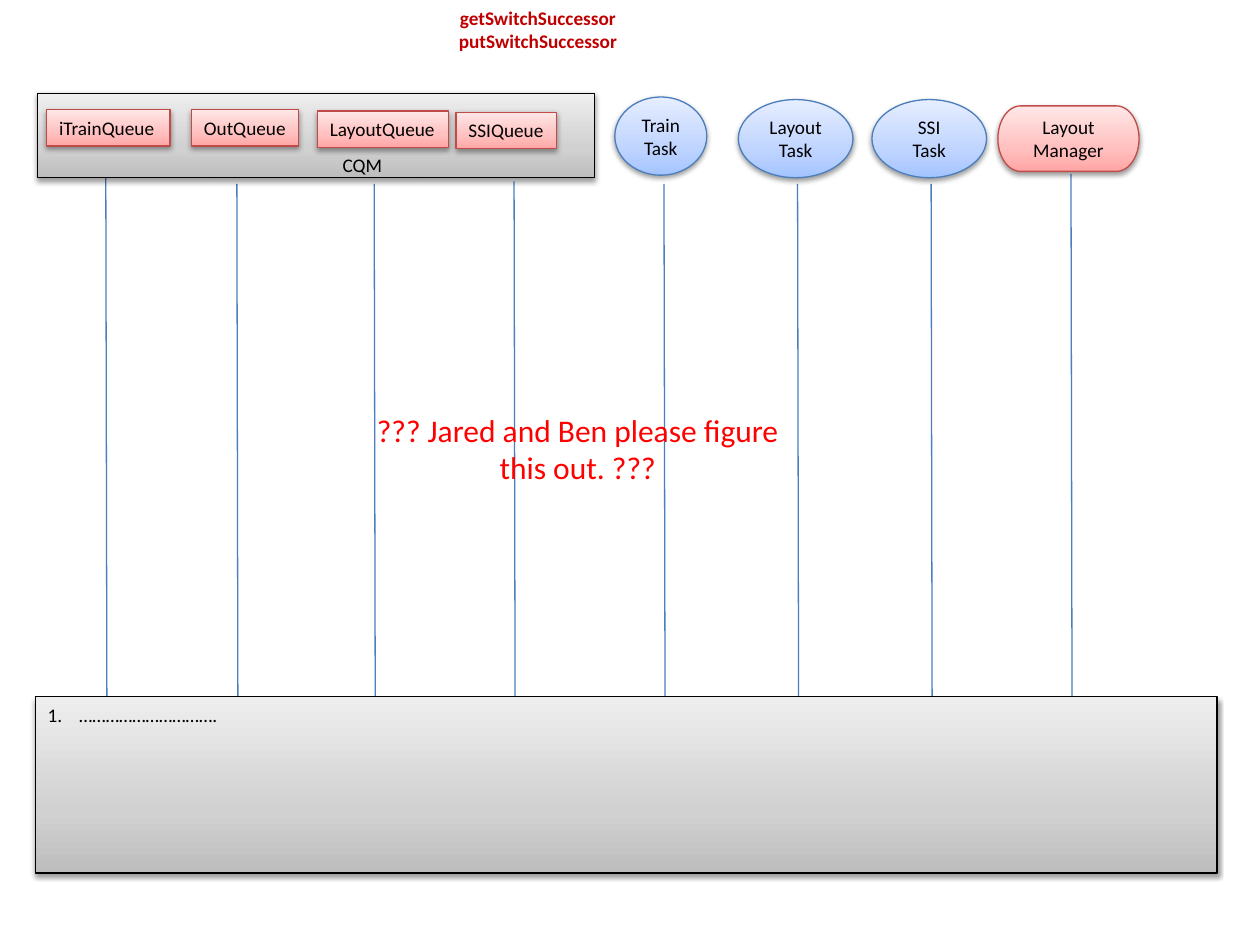
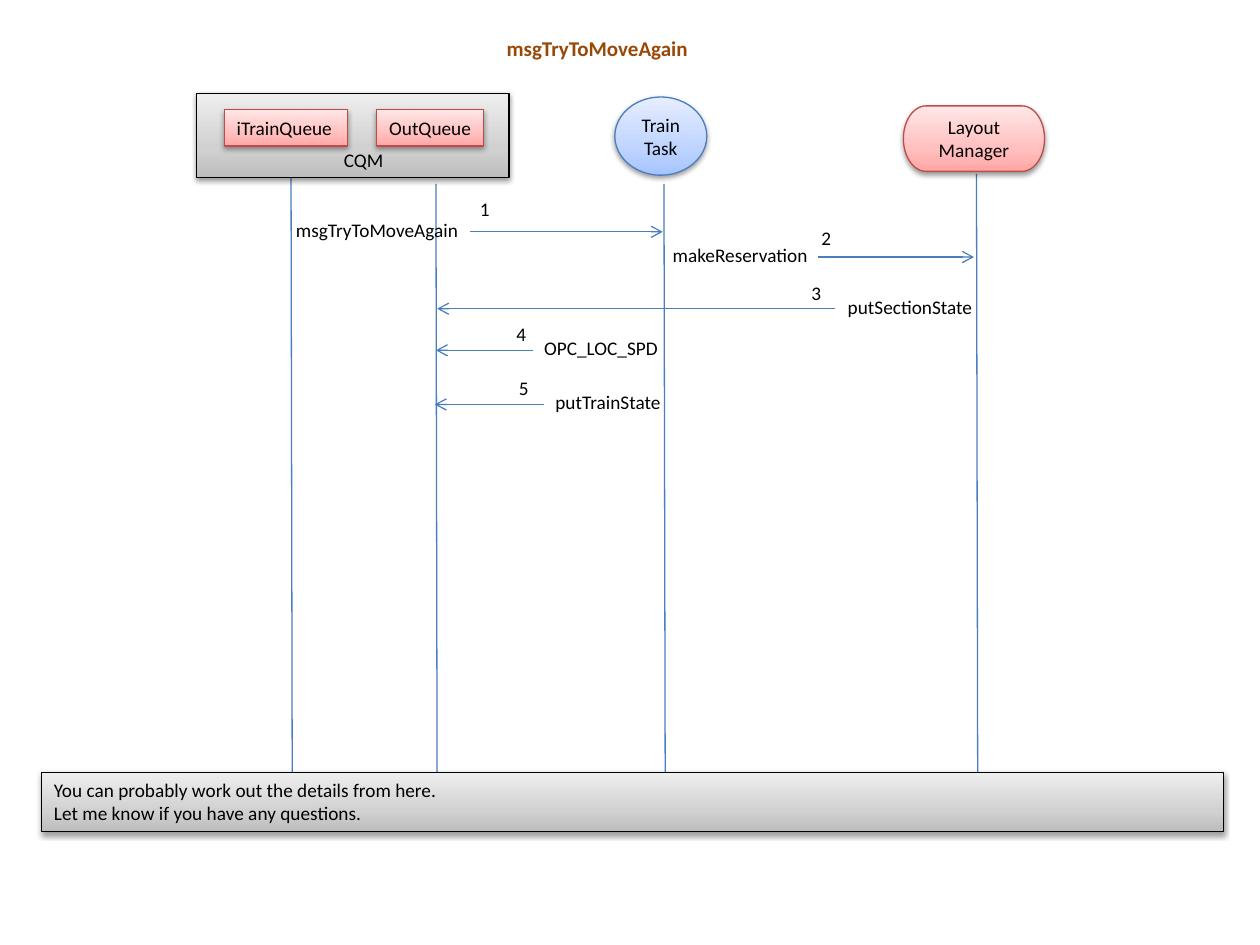
"""Build two message sequence diagrams for the train control tasks."""
import pptx
import pptx.dml.color
import pptx.enum.shapes
import pptx.enum.text
import pptx.oxml
import pptx.oxml.ns
import pptx.util

Inches = pptx.util.Inches
Pt = pptx.util.Pt
Shape = pptx.enum.shapes.MSO_SHAPE
Align = pptx.enum.text.PP_ALIGN
Anchor = pptx.enum.text.MSO_ANCHOR
AutoSize = pptx.enum.text.MSO_AUTO_SIZE

FONT = "Calibri"
COLORS = {
    "text": "000000", "title": "C00000", "brown": "984807", "alert": "FF0000",
    "blue": "4B7EBC", "red": "BF4C48", "gray": "000000",
}
GRADIENTS = {
    "blue": ("A4C4FF", "BFD4FF", "E6EEFF"),
    "red": ("FFA6A5", "FFC0BF", "FFE7E7"),
    "gray": ("BDBDBD", "D1D1D1", "EEEEEE"),
}
STOPS = (0, 35, 100)
ROW_HEIGHT = 0.29
LIFELINE = 5


def rgb(name):
    return pptx.dml.color.RGBColor.from_string(COLORS[name])


def element(tag, content="", **attributes):
    values = "".join(f' {key}="{value}"' for key, value in attributes.items())
    namespace = pptx.oxml.ns.nsdecls("a")
    return pptx.oxml.parse_xml(f"<a:{tag} {namespace}{values}>{content}</a:{tag}>")


def write_text(box, text, size=11, color="text", bold=False, align=Align.LEFT,
               anchor=Anchor.TOP, wrap=True, grow=False, indent=0, numbered=False):
    frame = box.text_frame
    frame.word_wrap = wrap
    frame.auto_size = AutoSize.SHAPE_TO_FIT_TEXT if grow else AutoSize.NONE
    frame.vertical_anchor = anchor
    frame.text = text
    for para in frame.paragraphs:
        para.alignment = align
        if indent:
            properties = para._p.get_or_add_pPr()
            properties.set("marL", str(Inches(indent)))
            properties.set("indent", str(-Inches(indent)))
            if numbered:
                properties.append(element("buFont", typeface="+mj-lt"))
                properties.append(element("buAutoNum", type="arabicPeriod"))
        for span in para.runs:
            span.font.name = FONT
            span.font.size = Pt(size)
            span.font.bold = bold
            span.font.color.rgb = rgb(color)


class Diagram:
    def __init__(self):
        self.deck = pptx.Presentation()
        self.deck.slide_width = Inches(10)
        self.deck.slide_height = Inches(7.5)
        self.page = None

    def new_page(self, title, left, top, height, **style):
        self.page = self.deck.slides.add_slide(self.deck.slide_layouts[5])
        box = self.page.shapes.title
        box.left, box.top = Inches(left), Inches(top)
        box.width, box.height = Inches(3.52), Inches(height)
        write_text(box, title, bold=True, align=Align.CENTER, **style)

    def shape(self, kind, left, top, width, height, color):
        box = self.page.shapes.add_shape(
            kind, Inches(left), Inches(top), Inches(width), Inches(height))
        box.fill.gradient()
        stops = "".join(
            f'<a:gs pos="{stop * 1000}"><a:srgbClr val="{tone}"/></a:gs>'
            for stop, tone in zip(STOPS, GRADIENTS[color]))
        gradient = element("gradFill", f'<a:gsLst>{stops}</a:gsLst>'
                           '<a:lin ang="16200000" scaled="0"/>', rotWithShape=1)
        properties = box.element.spPr
        properties.replace(properties.find(pptx.oxml.ns.qn("a:gradFill")), gradient)
        box.line.color.rgb = rgb(color)
        box.line.width = Pt(0.75)
        box.shadow.inherit = False
        properties.find(pptx.oxml.ns.qn("a:effectLst")).append(element(
            "outerShdw",
            '<a:srgbClr val="000000"><a:alpha val="38000"/></a:srgbClr>',
            blurRad=Pt(3.1), dist=Pt(1.6), dir=5400000, rotWithShape=0))
        return box

    def task(self, text, left, top, width):
        box = self.shape(Shape.FLOWCHART_CONNECTOR, left, top, width, 0.62, "blue")
        write_text(box, text, align=Align.CENTER, anchor=Anchor.MIDDLE)

    def manager(self, left):
        box = self.shape(Shape.FLOWCHART_TERMINATOR, left, 0.84, 1.12, 0.52, "red")
        write_text(box, "Layout\nManager", align=Align.CENTER, anchor=Anchor.MIDDLE)

    def queue(self, text, left, top, width):
        box = self.shape(Shape.RECTANGLE, left, top, width, ROW_HEIGHT, "red")
        write_text(box, text, wrap=False, grow=True)

    def queue_manager(self, left, width, label_left, label_top, queues):
        self.shape(Shape.RECTANGLE, left, 0.74, width, 0.67, "gray")
        self.label("CQM", label_left, label_top, 0.52)
        for queue in queues:
            self.queue(*queue)

    def note(self, text, left, top, height, **style):
        box = self.shape(Shape.RECTANGLE, left, top, 9.38, height, "gray")
        write_text(box, text, indent=0.25, **style)

    def label(self, text, left, top, width, height=ROW_HEIGHT, wrap=False, **style):
        box = self.page.shapes.add_textbox(
            Inches(left), Inches(top), Inches(width), Inches(height))
        write_text(box, text, wrap=wrap, grow=True, **style)

    def line(self, start, end, arrow=False):
        line = self.page.shapes.add_connector(
            pptx.enum.shapes.MSO_CONNECTOR.STRAIGHT,
            *(Inches(value) for value in (*start, *end)))
        line.line.color.rgb = rgb("blue")
        line.line.width = Pt(0.75)
        if arrow:
            line.line._get_or_add_ln().append(element("tailEnd", type="arrow"))
        line.element.spPr.append(element("effectLst"))

    def lifelines(self, starts):
        for left, top in starts:
            self.line((left, top), (left + 0.01, top + LIFELINE))

    def message(self, number, text, left, width, number_at, start, end, y):
        self.label(text, left, y - 0.16, width)
        self.line((start, y), (end, y), arrow=True)
        self.label(str(number), *number_at, 0.28)


def build_switch_successor(diagram):
    diagram.new_page("getSwitchSuccessor\nputSwitchSuccessor", 2.51, 0, 0.47,
                     color="title")
    diagram.lifelines([(0.84, 1.41), (1.88, 1.46), (2.97, 1.46), (4.08, 1.44),
                       (5.27, 1.46), (6.33, 1.46), (7.39, 1.46), (8.5, 1.38)])
    diagram.queue_manager(0.3, 4.42, 2.62, 1.17, [
        ("iTrainQueue", 0.37, 0.87, 0.98),
        ("OutQueue", 1.52, 0.87, 0.85),
        ("LayoutQueue", 2.52, 0.88, 1.04),
        ("SSIQueue", 3.62, 0.89, 0.8),
    ])
    diagram.task("Train\nTask", 4.88, 0.77, 0.73)
    diagram.task("Layout\nTask", 5.86, 0.79, 0.91)
    diagram.task("SSI\nTask", 6.92, 0.79, 0.91)
    diagram.manager(7.92)
    diagram.note("………………………….", 0.28, 5.53, 1.4, numbered=True)
    diagram.label("??? Jared and Ben please figure this out. ???", 2.83, 3.21, 3.51,
                  0.71, wrap=True, size=18, color="alert", align=Align.CENTER)


def build_try_to_move(diagram):
    diagram.new_page("msgTryToMoveAgain", 2.98, 0.23, 0.3, size=12, color="brown")
    diagram.lifelines([(2.31, 1.41), (3.46, 1.46), (5.27, 1.46), (7.75, 1.38)])
    diagram.queue_manager(1.56, 2.48, 2.63, 1.13, [
        ("iTrainQueue", 1.78, 0.87, 0.98),
        ("OutQueue", 2.99, 0.87, 0.85),
    ])
    diagram.task("Train\nTask", 4.88, 0.77, 0.73)
    diagram.manager(7.17)
    diagram.note("You can probably work out the details from here.\n"
                 "Let me know if you have any questions.", 0.33, 6.13, 0.47)
    messages = [
        ("msgTryToMoveAgain", 2.25, 1.52, (3.71, 1.52), 3.73, 5.26, 1.84),
        ("makeReservation", 5.24, 1.29, (6.42, 1.75), 6.49, 7.73, 2.04),
        ("putSectionState", 6.63, 1.2, (6.34, 2.18), 6.63, 3.47, 2.45),
        ("OPC_LOC_SPD", 4.22, 1.11, (4, 2.51), 4.23, 3.46, 2.78),
        ("putTrainState", 4.31, 1.06, (4.02, 2.94), 4.32, 3.45, 3.21),
    ]
    for number, message in enumerate(messages, 1):
        diagram.message(number, *message)


def main():
    diagram = Diagram()
    build_switch_successor(diagram)
    build_try_to_move(diagram)
    diagram.deck.save("out.pptx")


if __name__ == "__main__":
    main()
